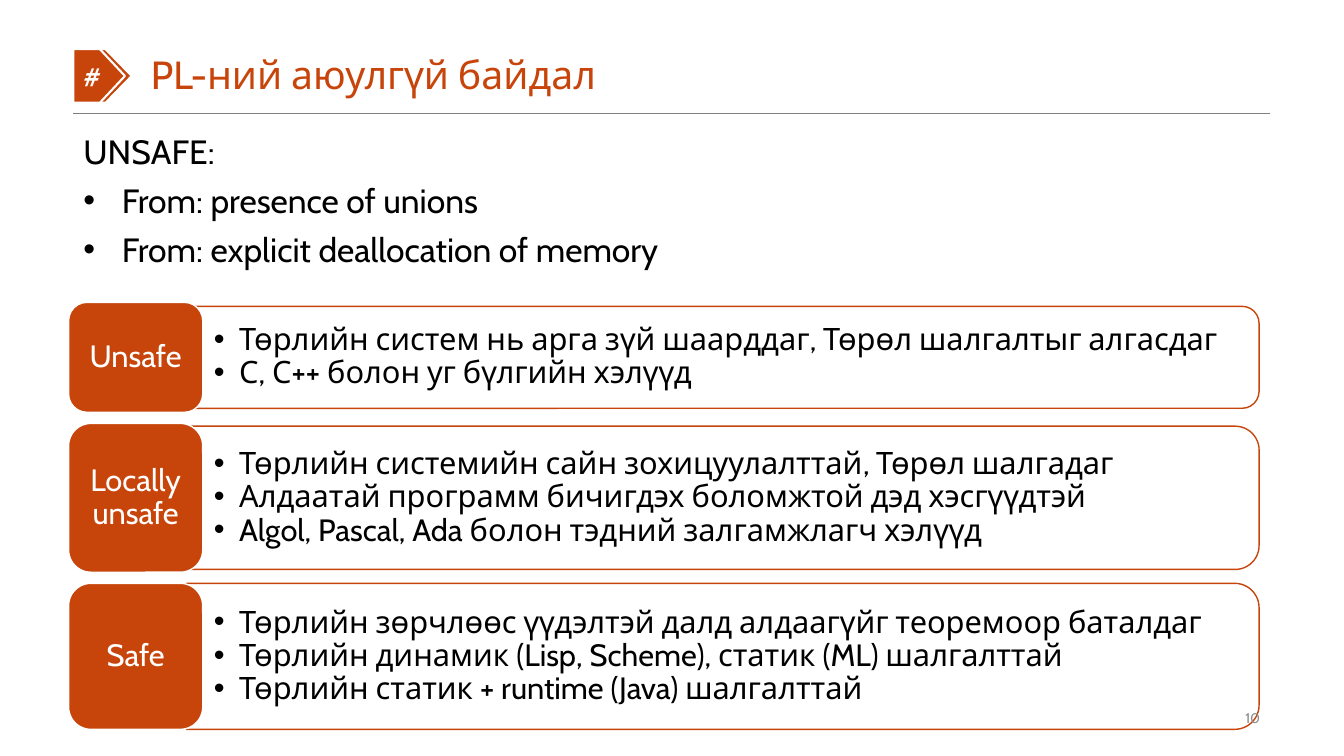
from lxml.etree import SubElement
from pptx import Presentation
from pptx.dml.color import RGBColor
from pptx.enum.shapes import MSO_CONNECTOR, MSO_SHAPE
from pptx.enum.text import MSO_ANCHOR, MSO_AUTO_SIZE, PP_ALIGN
from pptx.oxml.ns import qn
from pptx.util import Cm, Pt

COLORS = {"accent": "C7450B", "white": "FFFFFF", "text": "000000",
          "rule": "808080", "number": "8C8C8C"}


def write(shape, lines, size, color="text", bold=False, align=PP_ALIGN.LEFT,
          anchor=MSO_ANCHOR.MIDDLE, insets=(0.25, 0.13), spacing=1.0,
          before=0, indent=0, plain_lines=0):
    """Fill a shape with paragraphs; those after plain_lines get bullets if indent is set."""
    frame = shape.text_frame
    frame.word_wrap = True
    frame.auto_size = MSO_AUTO_SIZE.NONE
    frame.vertical_anchor = anchor
    frame.margin_left = frame.margin_right = Cm(insets[0])
    frame.margin_top = frame.margin_bottom = Cm(insets[1])
    for index, line in enumerate(lines):
        paragraph = frame.paragraphs[0] if index == 0 else frame.add_paragraph()
        paragraph.alignment = align
        paragraph.line_spacing = spacing
        paragraph.space_before, paragraph.space_after = Pt(before), Pt(0)
        run = paragraph.add_run()
        run.text = line
        run.font.name, run.font.size, run.font.bold = "Cabin", Pt(size), bold
        run.font.color.rgb = RGBColor.from_string(COLORS[color])
        properties = paragraph._p.get_or_add_pPr()
        bulleted = indent and index >= plain_lines
        properties.set("marL", str(Cm(indent) if bulleted else 0))
        properties.set("indent", str(-Cm(indent) if bulleted else 0))
        if bulleted:
            SubElement(properties, qn("a:buFont")).set("typeface", "Arial")
            SubElement(properties, qn("a:buChar")).set("char", "•")
        else:
            SubElement(properties, qn("a:buNone"))


def add_block(kind, left, top, width, height, line, line_width, fill=None):
    block = slide.shapes.add_shape(kind, Cm(left), Cm(top), Cm(width), Cm(height))
    block.shadow.inherit = False
    if fill:
        block.fill.solid()
        block.fill.fore_color.rgb = RGBColor.from_string(COLORS[fill])
    else:
        block.fill.background()
    block.line.color.rgb = RGBColor.from_string(COLORS[line])
    block.line.width = Pt(line_width)
    return block


deck = Presentation()
deck.slide_width, deck.slide_height = Cm(33.87), Cm(19.05)
slide = deck.slides.add_slide(deck.slide_layouts[1])
title, unsafe_causes = slide.placeholders

# Heading with rule and double arrow tag
rule = slide.shapes.add_connector(MSO_CONNECTOR.STRAIGHT, Cm(1.85), Cm(2.86), Cm(32), Cm(2.86))
rule.line.color.rgb = RGBColor.from_string(COLORS["rule"])
rule.line.width = Pt(0.25)
SubElement(rule._element.spPr, qn("a:effectLst"))

title.left, title.top, title.width, title.height = Cm(3.33), Cm(1.24), Cm(28.68), Cm(1.35)
write(title, [" PL-ний аюулгүй байдал"], 28, "accent", anchor=MSO_ANCHOR.BOTTOM, spacing=0.9)

for tag_width in (1.47, 1.3):
    tag = add_block(MSO_SHAPE.PENTAGON, 1.85, 1.24, tag_width, 1.35, "white", 1.5, "accent")
    tag.adjustments[0] = 0.486
write(tag, ["#"], 18, "white", bold=True)

# Causes of unsafety
unsafe_causes.left, unsafe_causes.top = Cm(1.85), Cm(3.18)
unsafe_causes.width, unsafe_causes.height = Cm(30.15), Cm(3.76)
write(unsafe_causes,
      ["UNSAFE:", "From: presence of unions", "From: explicit deallocation of memory"],
      24, anchor=MSO_ANCHOR.TOP, before=6, indent=0.97, plain_lines=1)

# Safety levels: label, label height, panel height, points
levels = [
    ("Unsafe", 2.77, 2.57,
     ["Төрлийн систем нь арга зүй шаарддаг, Төрөл шалгалтыг алгасдаг",
      "С, С++ болон уг бүлгийн хэлүүд"]),
    ("Locally unsafe", 3.75, 3.61,
     ["Төрлийн системийн сайн зохицуулалттай, Төрөл шалгадаг",
      "Алдаатай программ бичигдэх боломжтой дэд хэсгүүдтэй",
      "Algol, Pascal, Ada болон тэдний залгамжлагч хэлүүд"]),
    ("Safe", 3.68, 3.68,
     ["Төрлийн зөрчлөөс үүдэлтэй далд алдаагүйг теоремоор баталдаг",
      "Төрлийн динамик (Lisp, Scheme), статик (ML) шалгалттай",
      "Төрлийн статик + runtime (Java) шалгалттай"]),
]
PANEL_LEFT, PANEL_WIDTH, LEVEL_GAP = 4.7, 27.03, 0.28
level_top = 7.62
for name, label_height, panel_height, points in levels:
    middle = level_top + label_height / 2
    # The panel is an upright shape turned a quarter about its centre
    panel = add_block(MSO_SHAPE.ROUND_2_SAME_RECTANGLE,
                      PANEL_LEFT + (PANEL_WIDTH - panel_height) / 2, middle - PANEL_WIDTH / 2,
                      panel_height, PANEL_WIDTH, "accent", 1)
    panel.rotation = 90
    details = slide.shapes.add_textbox(Cm(PANEL_LEFT), Cm(middle - panel_height / 2),
                                       Cm(PANEL_WIDTH), Cm(panel_height))
    write(details, points, 22, insets=(0.69, 0.36), spacing=0.9, indent=0.64)
    label = add_block(MSO_SHAPE.ROUNDED_RECTANGLE, 1.73, level_top, 3.38, label_height,
                      "white", 1, "accent")
    write(label, [name], 22, "white", align=PP_ALIGN.CENTER, spacing=0.9)
    level_top += label_height + LEVEL_GAP

# Slide number
page_number = slide.shapes.add_textbox(Cm(23.93), Cm(17.81), Cm(8.08), Cm(0.58))
write(page_number, ["10"], 10, "number", align=PP_ALIGN.RIGHT)

deck.save("out.pptx")
